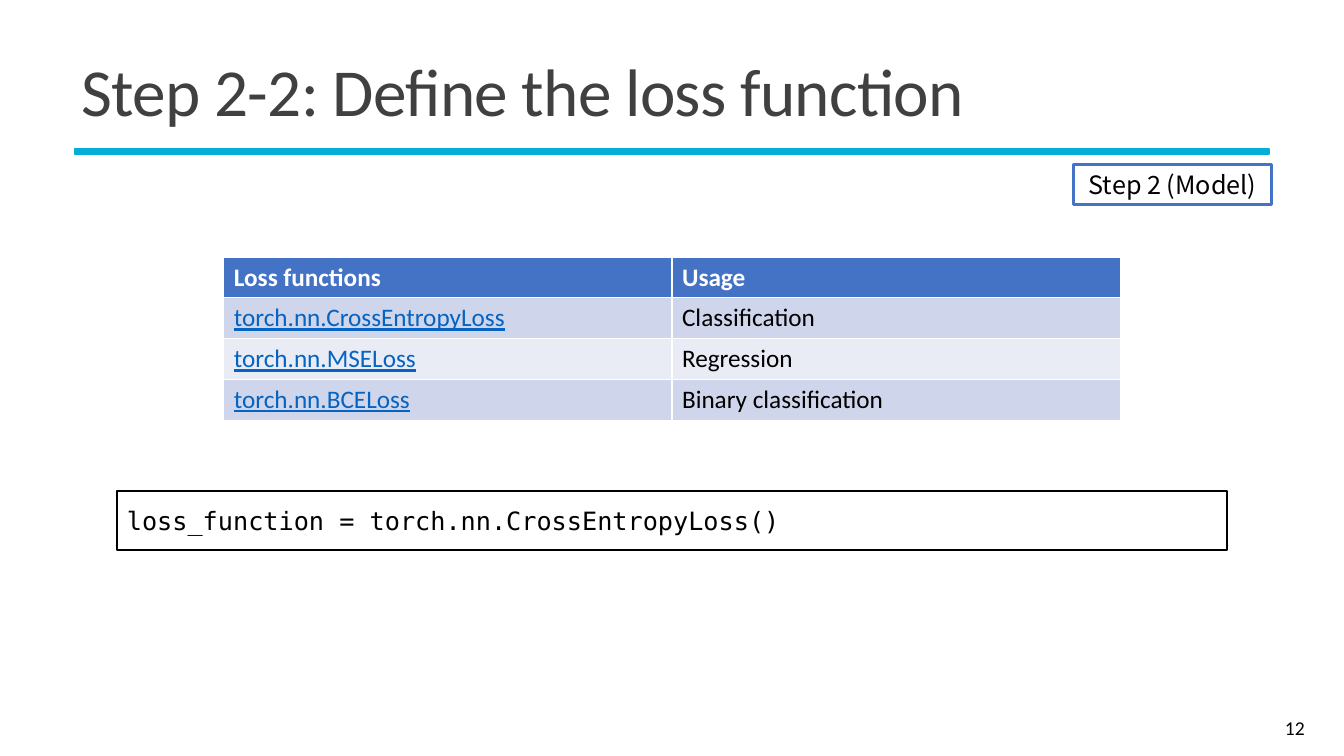
"""Build the slide on defining the loss function."""
import dataclasses
import typing

import pptx
import pptx.dml.color
import pptx.enum.shapes
import pptx.enum.text
import pptx.slide
import pptx.text.text
import pptx.util

Inches = pptx.util.Inches
Color = pptx.dml.color.RGBColor
Align = pptx.enum.text.PP_ALIGN
Anchor = pptx.enum.text.MSO_ANCHOR

BLACK = Color(0x00, 0x00, 0x00)
WHITE = Color(0xFF, 0xFF, 0xFF)
GRAY = Color(0x40, 0x40, 0x40)
CYAN = Color(0x05, 0xAE, 0xD6)
BLUE = Color(0x44, 0x72, 0xC4)
LINK = Color(0x05, 0x63, 0xC1)
BANDS = (Color(0xCF, 0xD5, 0xEA), Color(0xE9, 0xEB, 0xF5))

ROWS = (
    ("Loss functions", "Usage"),
    ("torch.nn.CrossEntropyLoss", "Classification"),
    ("torch.nn.MSELoss", "Regression"),
    ("torch.nn.BCELoss", "Binary classification"),
)


@dataclasses.dataclass(frozen=True)
class Style:
    """Look of a run of text."""
    size: float = 18
    font: str = "Calibri"
    color: Color = BLACK
    bold: bool = False
    under: bool = False


@dataclasses.dataclass(frozen=True)
class Box:
    """Rectangle or plain text box with its place and look."""
    left: float
    top: float
    width: float
    height: float
    text: str = ""
    style: Style = Style()
    align: Align = Align.LEFT
    anchor: Anchor = Anchor.MIDDLE
    fill: typing.Optional[Color] = None
    line: typing.Optional[Color] = None
    weight: float = 1.25
    space: float = 1.0
    track: int = 0


BOXES = (
    Box(0.74, 1.48, 11.85, 0.05, fill=CYAN, line=CYAN),
    Box(0.71, 0.39, 11.94, 1.13, "Step 2-2: Define the loss function",
        Style(48, color=GRAY), space=0.85, track=-50),
    Box(11.61, 7.02, 1.43, 0.4, "12", Style(14), Align.RIGHT),
    Box(10.65, 1.63, 1.96, 0.4, "Step 2 (Model)",
        Style(font="Noto Sans CJK TC"), Align.CENTER, Anchor.TOP,
        line=BLUE, weight=2.25),
    Box(1.16, 4.87, 11.01, 0.59, "loss_function = torch.nn.CrossEntropyLoss()",
        Style(font="DejaVu Sans Mono"), line=BLACK),
)


def write(frame: pptx.text.text.TextFrame, text: str, style: Style) -> None:
    """Set the text of a frame and format its run."""
    frame.text = text
    font = frame.paragraphs[0].runs[0].font
    font.size = pptx.util.Pt(style.size)
    font.name = style.font
    font.bold = style.bold
    font.underline = style.under
    font.color.rgb = style.color


def draw(slide: pptx.slide.Slide, box: Box) -> None:
    """Draw one box and its text."""
    place = [Inches(n) for n in (box.left, box.top, box.width, box.height)]
    if box.line is None:
        shape = slide.shapes.add_textbox(*place)
    else:
        kind = pptx.enum.shapes.MSO_SHAPE.RECTANGLE
        shape = slide.shapes.add_shape(kind, *place)
        shape.shadow.inherit = False
        shape.line.color.rgb = box.line
        shape.line.width = pptx.util.Pt(box.weight)
        if box.fill is None:
            shape.fill.background()
        else:
            shape.fill.solid()
            shape.fill.fore_color.rgb = box.fill
    if not box.text:
        return
    frame = shape.text_frame
    frame.word_wrap = True
    frame.vertical_anchor = box.anchor
    write(frame, box.text, box.style)
    para = frame.paragraphs[0]
    para.alignment = box.align
    para.line_spacing = box.space
    if box.track:
        para.runs[0].font._element.set("spc", str(box.track))


def tabulate(slide: pptx.slide.Slide) -> None:
    """Draw the table of loss functions."""
    place = [Inches(n) for n in (2.22, 2.55, 8.89, 1.62)]
    table = slide.shapes.add_table(len(ROWS), len(ROWS[0]), *place).table
    for row, texts in enumerate(ROWS):
        for col, text in enumerate(texts):
            if row == 0:
                fill, style = BLUE, Style(color=WHITE, bold=True)
            else:
                fill = BANDS[(row - 1) % 2]
                style = Style(color=LINK, under=True) if col == 0 else Style()
            cell = table.cell(row, col)
            cell.fill.solid()
            cell.fill.fore_color.rgb = fill
            write(cell.text_frame, text, style)


def main() -> None:
    """Build and save the deck."""
    deck = pptx.Presentation()
    deck.slide_width = Inches(13.33)
    deck.slide_height = Inches(7.5)
    slide = deck.slides.add_slide(deck.slide_layouts[6])
    for box in BOXES:
        draw(slide, box)
    tabulate(slide)
    deck.save("out.pptx")


if __name__ == "__main__":
    main()
